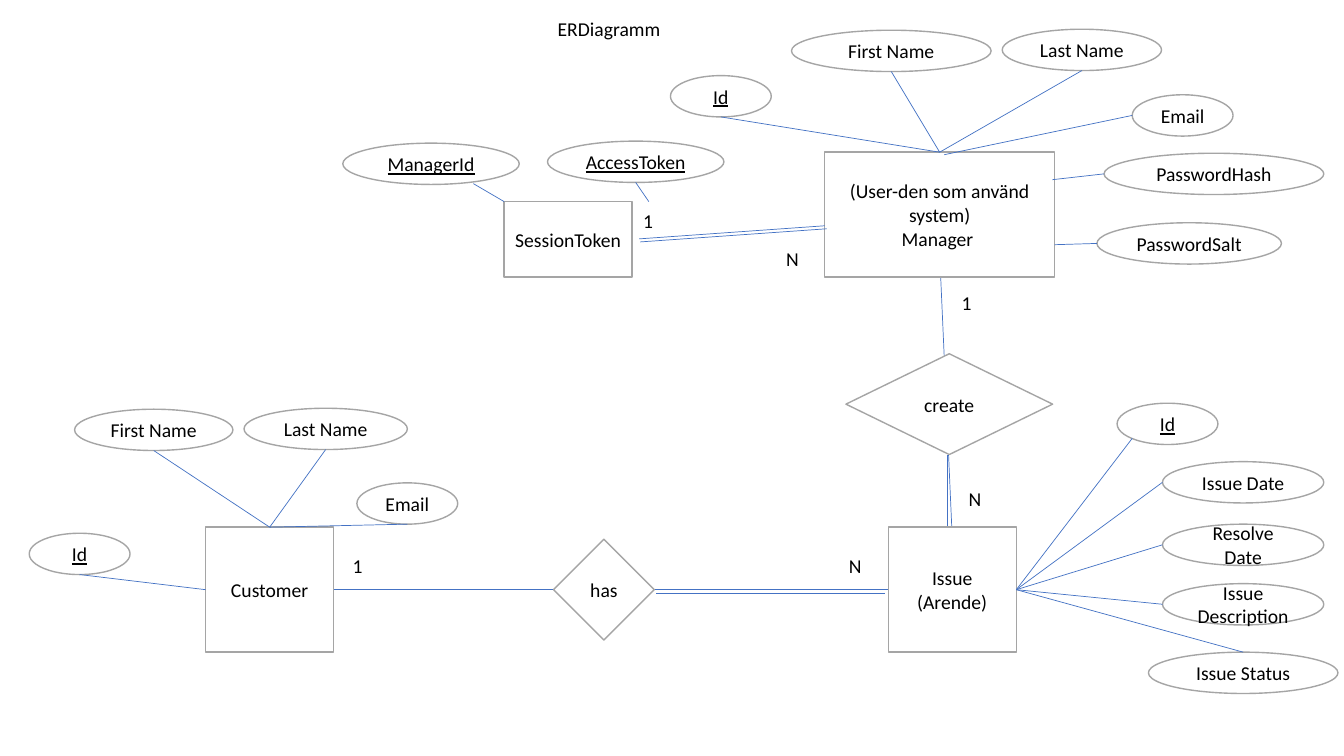
from pptx import Presentation
from pptx.dml.color import RGBColor
from pptx.enum.shapes import MSO_CONNECTOR, MSO_SHAPE
from pptx.enum.text import MSO_ANCHOR, PP_ALIGN
from pptx.oxml.ns import qn
from pptx.util import Inches, Pt
from lxml.etree import SubElement

COLORS = {"paper": "FFFFFF", "edge": "A5A5A5", "link": "4472C4", "ink": "000000"}
OVAL = 0.41
TOP, LEFT, RIGHT, BASE = (0.5, 0), (0, 0.5), (1, 0.5), (0.5, 1)


def color(name):
    return RGBColor.from_string(COLORS[name])


def write(shape, text, align, anchor, under=False):
    frame = shape.text_frame
    frame.word_wrap = True
    frame.text = text
    frame.vertical_anchor = anchor
    for para in frame.paragraphs:
        para.alignment = align
        for run in para.runs:
            font = run.font
            font.name, font.size = "Calibri", Pt(14)
            font.color.rgb = color("ink")
            if under:
                font.underline = True


def node(slide, kind, box, text, under=False):
    shape = slide.shapes.add_shape(kind, *map(Inches, box))
    shape.shadow.inherit = False
    shape.fill.solid()
    shape.fill.fore_color.rgb = color("paper")
    shape.line.color.rgb = color("edge")
    shape.line.width = Pt(1)
    write(shape, text, PP_ALIGN.CENTER, MSO_ANCHOR.MIDDLE, under)


def link(slide, start, end):
    line = slide.shapes.add_connector(
        MSO_CONNECTOR.STRAIGHT, *map(Inches, (*start, *end)))
    line.line.color.rgb = color("link")
    line.line.width = Pt(0.5)
    SubElement(line._element.spPr, qn("a:effectLst"))


def label(slide, box, text, align=PP_ALIGN.LEFT, anchor=MSO_ANCHOR.TOP):
    shape = slide.shapes.add_textbox(*map(Inches, box))
    write(shape, text, align, anchor)
    return shape


def title(slide, box, text):
    shape = label(slide, box, text, PP_ALIGN.CENTER, MSO_ANCHOR.BOTTOM)
    shape.text_frame.paragraphs[0].line_spacing = 0.9


def port(box, spot):
    left, top, width, height = box
    return left + width * spot[0], top + height * spot[1]


def entity(slide, box, text, fields):
    node(slide, MSO_SHAPE.RECTANGLE, box, text)
    for name, dx, dy, width, start, end in fields:
        oval = (box[0] + dx, box[1] + dy, width, OVAL)
        key = name in ("Id", "ManagerId", "AccessToken")
        node(slide, MSO_SHAPE.OVAL, oval, name, key)
        link(slide, port(oval, start), port(box, end))


def relation(slide, box, text, lines, counts):
    left, top = box[:2]
    for x1, y1, x2, y2 in lines:
        link(slide, (left + x1, top + y1), (left + x2, top + y2))
    if text:
        node(slide, MSO_SHAPE.DIAMOND, box, text)
    for count, dx, dy in counts:
        label(slide, (left + dx, top + dy, 0.5, 0.34), count)


def diagram(slide):
    title(slide, (0.29, -0.15, 11.5, 0.6), "ERDiagramm")
    relation(slide, (5.49, 5.35, 1, 1), "has",
             [(-2.18, 0.5, 3.32, 0.5), (1.02, 0.54, 3.29, 0.54)],
             [("1", -2.09, 0.1), ("N", 2.83, 0.1)])
    relation(slide, (8.39, 3.51, 2.05, 1), "create",
             [(0.94, -0.76, 1.05, 1.72), (1.01, 1.72, 1.01, 1)],
             [("1", 1.05, -0.67), ("N", 1.12, 1.27)])
    entity(slide, (2.04, 5.23, 1.27, 1.24), "Customer", [
        ("First Name", -1.3, -1.17, 1.57, BASE, TOP),
        ("Last Name", 0.38, -1.18, 1.62, BASE, TOP),
        ("Email", 1.5, -0.44, 1, BASE, TOP),
        ("Id", -1.75, 0.06, 1, BASE, LEFT)])
    entity(slide, (8.81, 5.23, 1.27, 1.24), "Issue\n(Arende)", [
        ("Id", 2.27, -1.23, 1, (0.15, 0.85), RIGHT),
        ("Issue Date", 2.72, -0.65, 1.6, LEFT, RIGHT),
        ("Resolve Date", 2.72, -0.03, 1.6, LEFT, RIGHT),
        ("Issue Description", 2.72, 0.56, 1.6, LEFT, RIGHT),
        ("Issue Status", 2.58, 1.24, 1.88, TOP, RIGHT)])
    entity(slide, (8.18, 1.51, 2.28, 1.24),
           "(User-den som använd system)\nManager ", [
        ("Id", -1.53, -0.76, 1, BASE, TOP),
        ("First Name", -0.33, -1.21, 1.98, BASE, TOP),
        ("Last Name", 1.76, -1.22, 1.58, BASE, TOP),
        ("Email", 3.05, -0.57, 1, LEFT, (0.52, 0.02)),
        ("PasswordHash", 2.77, 0.01, 2.18, LEFT, (0.99, 0.22)),
        ("PasswordSalt", 2.7, 0.7, 1.83, LEFT, (1, 0.74))])
    entity(slide, (5, 2, 1.27, 0.75), "SessionToken", [
        ("AccessToken", 0.43, -0.6, 1.75, BASE, (1.13, 0)),
        ("ManagerId", -1.6, -0.58, 1.75, (0.74, 0.98), (0, 0))])
    relation(slide, (6.34, 2.24, 1.84, 0.13), "",
             [(1.84, 0, 0, 0.13), (1.86, 0.03, 0.01, 0.16)],
             [("1", -0.06, -0.22), ("N", 1.36, 0.16)])


def main():
    deck = Presentation()
    deck.slide_width, deck.slide_height = Inches(13.33), Inches(7.5)
    diagram(deck.slides.add_slide(deck.slide_layouts[6]))
    deck.save("out.pptx")


if __name__ == "__main__":
    main()
